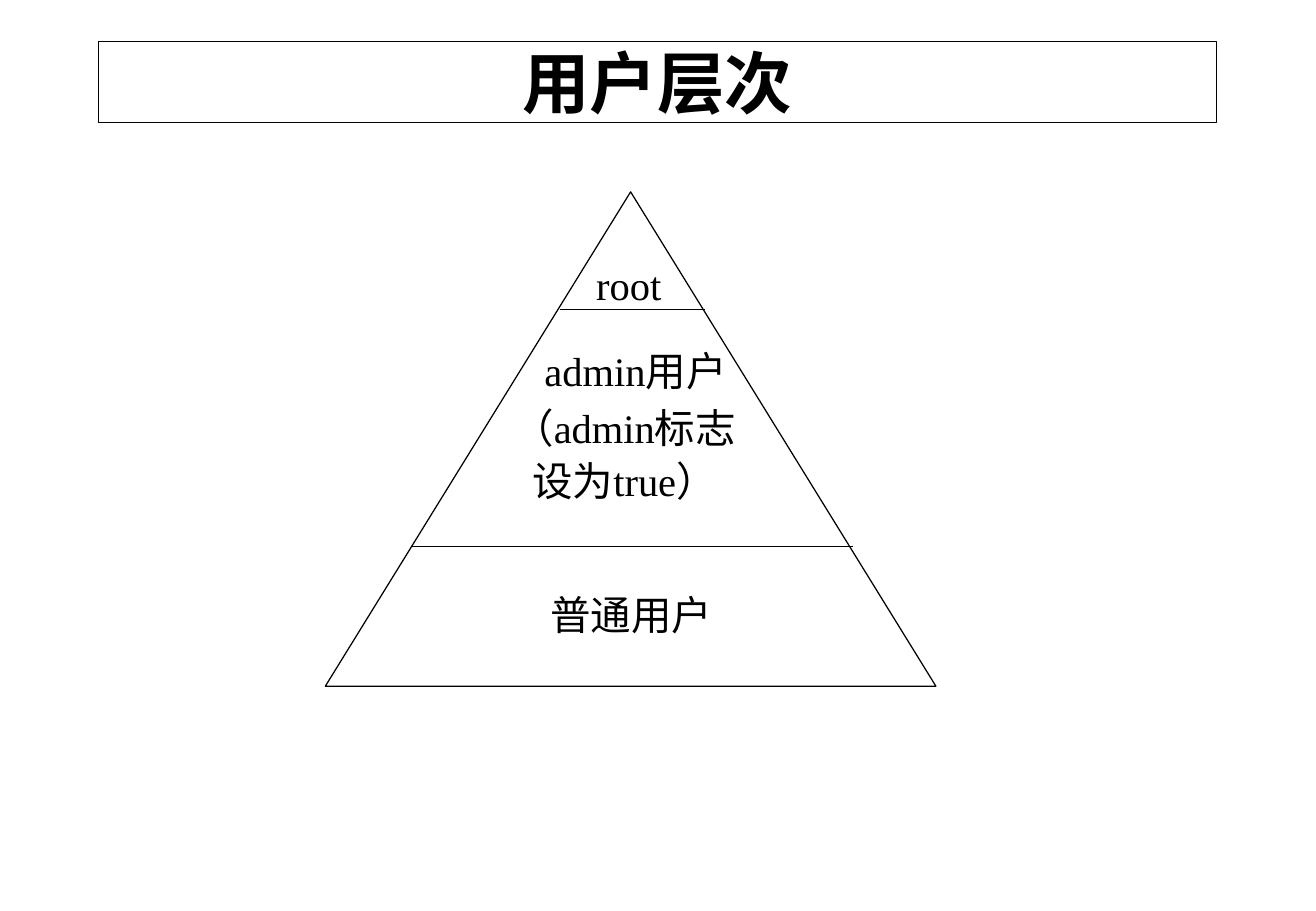
from dataclasses import dataclass

from lxml.etree import SubElement
from pptx import Presentation
from pptx.dml.color import RGBColor
from pptx.enum.shapes import MSO_CONNECTOR as Connector, MSO_SHAPE as Preset
from pptx.enum.text import MSO_ANCHOR as Anchor, MSO_AUTO_SIZE as AutoSize, PP_ALIGN as Align
from pptx.oxml.ns import qn
from pptx.slide import Slide
from pptx.text.text import TextFrame
from pptx.util import Inches, Pt


@dataclass(frozen=True)
class Theme:
    ink: RGBColor = RGBColor(0, 0, 0)
    paper: RGBColor = RGBColor(255, 255, 255)
    font: str = "Times New Roman"
    title_size: int = 40
    label_size: int = 24
    line_width: float = 0.75


@dataclass(frozen=True)
class Outline:
    preset: Preset
    left: float
    top: float
    width: float
    height: float
    filled: bool = False
    title: str = ""


@dataclass(frozen=True)
class Divider:
    left: float
    right: float
    y: float


@dataclass(frozen=True)
class Label:
    lines: tuple[str, ...]
    left: float
    top: float
    width: float
    height: float = 0.5
    line_spacing: float = 1.0


THEME = Theme()
OUTLINES = (
    Outline(Preset.RECTANGLE, 0.81, 0.34, 9.21, 0.67, True, "用户层次"),
    Outline(Preset.ISOSCELES_TRIANGLE, 2.68, 1.58, 5.03, 4.07),
)
DIVIDERS = (Divider(4.61, 5.81, 2.55), Divider(3.39, 7.03, 4.5))
LABELS = (
    Label(("root",), 4.41, 2.09, 1.54),
    Label(("admin用户",), 4.3, 2.8, 1.87),
    Label(("（admin标志", "设为true）"), 3.91, 3.31, 2.47, 0.91, 0.9),
    Label(("普通用户",), 3.85, 4.81, 2.7),
)


def apply_format(target: object, values: dict[str, object]) -> None:
    for name, value in values.items():
        setattr(target, name, value)


def write_lines(frame: TextFrame, lines: tuple[str, ...], size: int,
                bold: bool = False, line_spacing: float = 1.0) -> None:
    frame.word_wrap = True
    for index, text in enumerate(lines):
        paragraph = frame.add_paragraph() if index else frame.paragraphs[0]
        paragraph.text = text
        apply_format(paragraph, {
            "alignment": Align.CENTER,
            "line_spacing": line_spacing,
            "space_before": Pt(6 if index else 0),
        })
        apply_format(paragraph.font, {"name": THEME.font, "size": Pt(size), "bold": bold})
        paragraph.font.color.rgb = THEME.ink


def draw_outline(slide: Slide, outline: Outline) -> None:
    shape = slide.shapes.add_shape(
        outline.preset, Inches(outline.left), Inches(outline.top),
        Inches(outline.width), Inches(outline.height))
    shape.shadow.inherit = False
    if outline.filled:
        shape.fill.solid()
        shape.fill.fore_color.rgb = THEME.paper
    else:
        shape.fill.background()
    shape.line.color.rgb = THEME.ink
    shape.line.width = Pt(THEME.line_width)
    if outline.title:
        shape.text_frame.vertical_anchor = Anchor.MIDDLE
        write_lines(shape.text_frame, (outline.title,), THEME.title_size, bold=True)


def draw_divider(slide: Slide, divider: Divider) -> None:
    connector = slide.shapes.add_connector(
        Connector.STRAIGHT, Inches(divider.left), Inches(divider.y),
        Inches(divider.right), Inches(divider.y))
    connector.line.color.rgb = THEME.ink
    connector.line.width = Pt(THEME.line_width)
    SubElement(connector._element.spPr, qn("a:effectLst"))


def draw_label(slide: Slide, label: Label) -> None:
    box = slide.shapes.add_textbox(
        Inches(label.left), Inches(label.top), Inches(label.width), Inches(label.height))
    box.text_frame.auto_size = AutoSize.SHAPE_TO_FIT_TEXT
    write_lines(box.text_frame, label.lines, THEME.label_size, line_spacing=label.line_spacing)


def main() -> None:
    presentation = Presentation()
    apply_format(presentation, {"slide_width": Inches(10.84), "slide_height": Inches(7.5)})
    slide = presentation.slides.add_slide(presentation.slide_layouts[6])
    for outline in OUTLINES:
        draw_outline(slide, outline)
    for divider in DIVIDERS:
        draw_divider(slide, divider)
    for label in LABELS:
        draw_label(slide, label)
    presentation.save("out.pptx")


if __name__ == "__main__":
    main()
